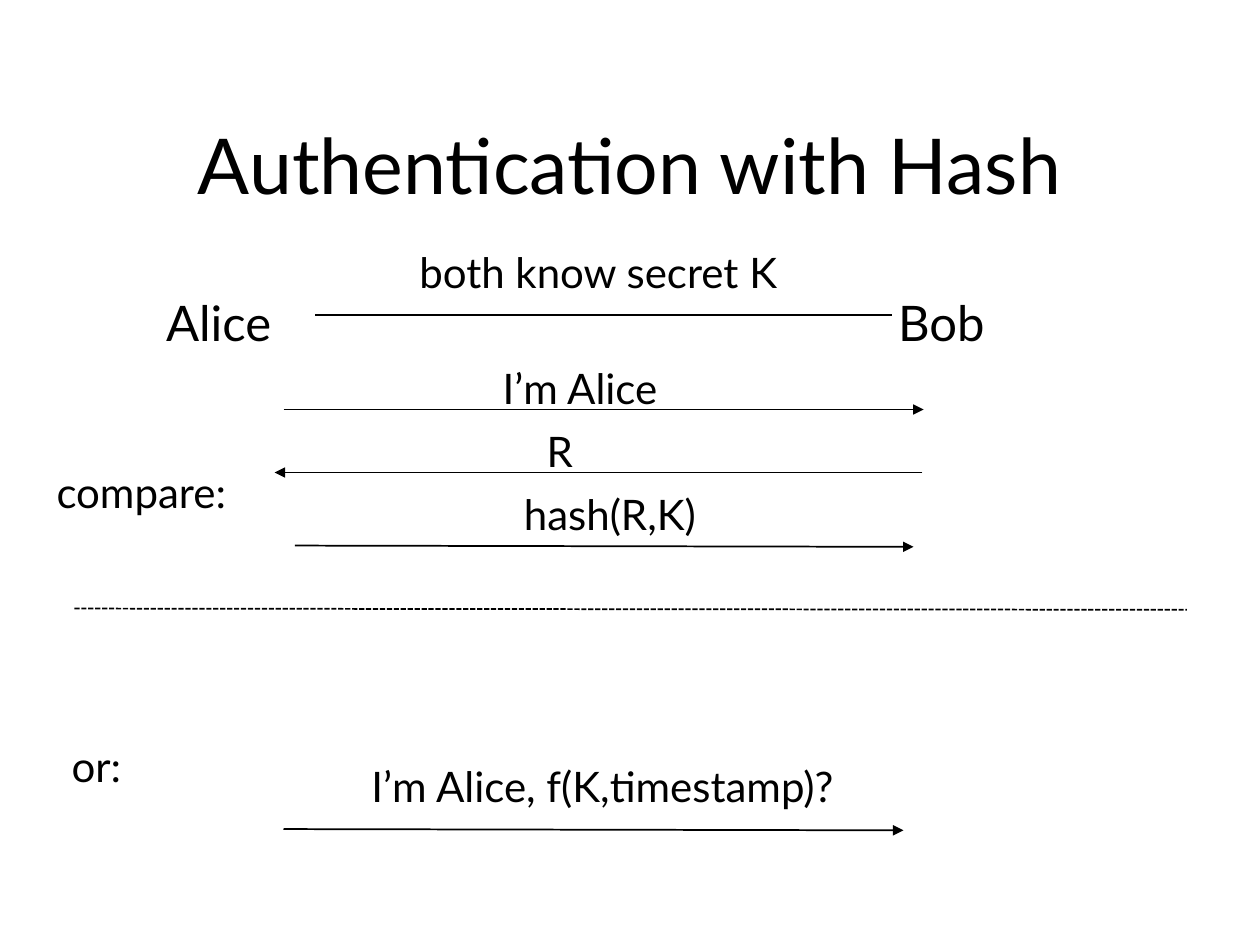
from lxml import etree
from pptx import Presentation
from pptx import util as u
from pptx.dml.color import RGBColor
from pptx.enum import dml, shapes, text
from pptx.oxml.ns import qn

PX = 9144  # 100 px to the inch
COLORS = {"ink": "000000", "paper": "FFFFFF"}
FONT = "Lato"


def px(*lengths):
    return [u.Emu(length * PX) for length in lengths]


def write(frame, words, size=24, color="ink", align=text.PP_ALIGN.LEFT,
          anchor=text.MSO_ANCHOR.TOP, wrap=False):
    frame.word_wrap = wrap
    frame.auto_size = text.MSO_AUTO_SIZE.NONE
    frame.vertical_anchor = anchor
    paragraph = frame.paragraphs[0]
    paragraph.alignment = align
    paragraph.line_spacing = 1.01
    run = paragraph.add_run()
    run.text = words
    run.font.name = FONT
    run.font.size = u.Pt(size)
    run.font.color.rgb = RGBColor.from_string(COLORS[color])


class ProtocolSlide:
    def __init__(self, deck):
        self.slide = deck.slides.add_slide(deck.slide_layouts[5])
        fill = self.slide.background.fill
        fill.solid()
        fill.fore_color.rgb = RGBColor.from_string(COLORS["paper"])

    def title(self, words, left, top, width, height):
        title = self.slide.shapes.title
        title.left, title.top, title.width, title.height = px(left, top, width, height)
        write(title.text_frame, words, size=44, align=text.PP_ALIGN.CENTER,
              anchor=text.MSO_ANCHOR.MIDDLE, wrap=True)

    def label(self, words, left, top, width, height=51, **style):
        box = self.slide.shapes.add_textbox(*px(left, top, width, height))
        write(box.text_frame, words, **style)

    def line(self, x1, y1, x2, y2, arrow=False, dashed=False):
        line = self.slide.shapes.add_connector(
            shapes.MSO_CONNECTOR.STRAIGHT, *px(x1, y1, x2, y2))
        line.line.color.rgb = RGBColor.from_string(COLORS["ink"])
        line.line.width = u.Pt(1)
        if dashed:
            line.line.dash_style = dml.MSO_LINE.SQUARE_DOT
            line.line._ln.find(qn("a:prstDash")).set("val", "sysDash")
        if arrow:
            etree.SubElement(line.line._ln, qn("a:tailEnd"), type="triangle")
        etree.SubElement(line._element.spPr, qn("a:effectLst"))


def main():
    deck = Presentation()
    deck.slide_width, deck.slide_height = px(1000, 750)
    protocol = ProtocolSlide(deck)
    protocol.title("Authentication with Hash", 75, 67, 850, 125)

    for party, left, width in (("Alice", 122, 106), ("Bob", 703, 93)):
        protocol.label(party, left, 227, width, 57, size=28)

    protocol.line(250, 250, 708, 250)
    protocol.label("both know secret K", 323, 190, 320)

    messages = (
        ("I’m Alice", (389, 282, 151), (225, 325, 733, 325)),
        ("R", (424, 332, 41), (732, 375, 218, 375)),
        ("hash(R,K)", (406, 382, 166), (234, 433, 725, 434)),
        ("I’m Alice, f(K,timestamp)?", (285, 598, 413), (225, 658, 717, 659)),
    )
    for words, place, ends in messages:
        protocol.line(*ends, arrow=True)
        protocol.label(words, *place)

    protocol.label("compare:", 35, 365, 168)
    protocol.line(59, 483, 942, 484, dashed=True)
    protocol.label("or:", 47, 582, 63)

    deck.save("out.pptx")


if __name__ == "__main__":
    main()
